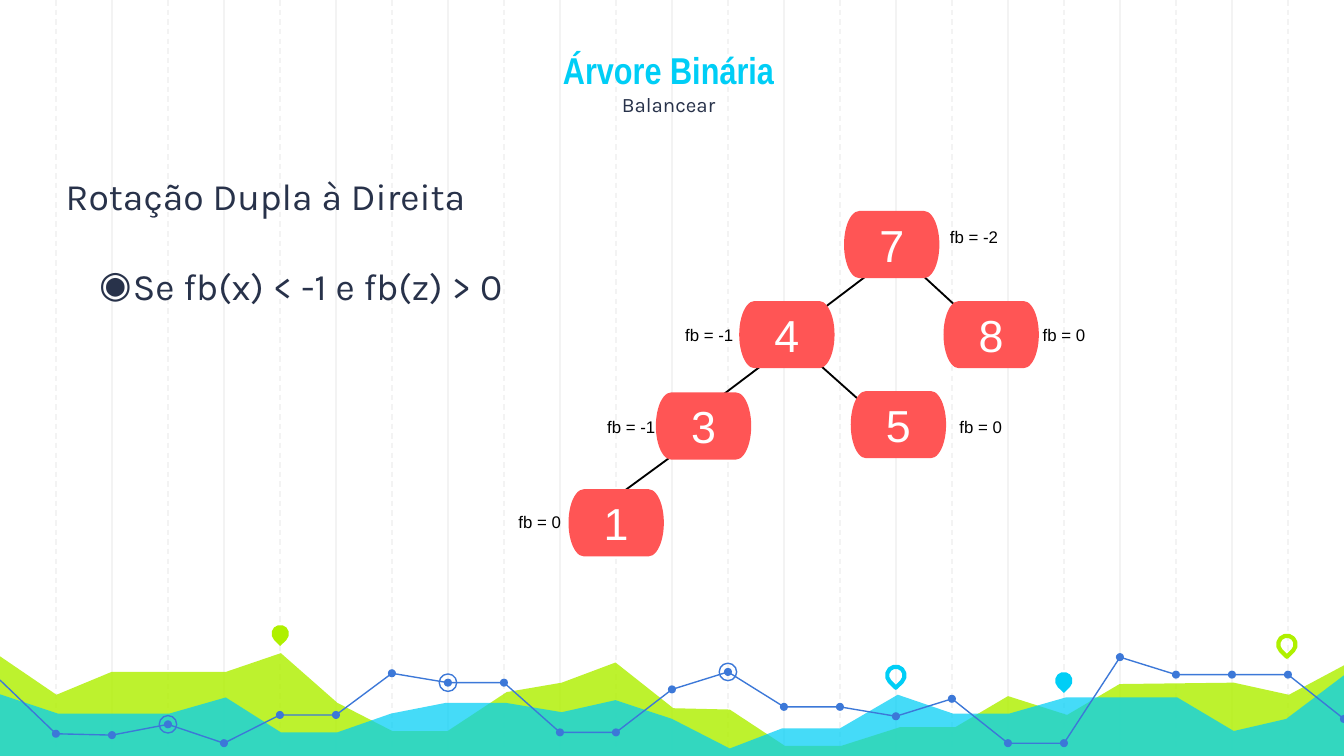
from lxml import etree
from pptx import Presentation
from pptx.dml.color import RGBColor
from pptx.enum import dml, shapes, text
from pptx.oxml import ns
from pptx.util import Inches, Pt

CYAN = RGBColor(0x00, 0xCE, 0xF6)
LIME = RGBColor(0xAF, 0xF0, 0x00)
BLUE = RGBColor(0x3C, 0x78, 0xD8)
CORAL = RGBColor(0xFF, 0x55, 0x55)
NAVY = RGBColor(0x28, 0x32, 0x4A)
GRID = RGBColor(0xF3, 0xF3, 0xF3)
BLACK = RGBColor(0, 0, 0)
WHITE = RGBColor(0xFF, 0xFF, 0xFF)

WIDTH = 10
HEIGHT = WIDTH * 9 / 16
STEP = WIDTH / 24
GRID_BOTTOM = 5.65
PIN, DOT, RING = 0.13, 0.06, 0.13
NODE_SIZE = (0.71, 0.5)
LABEL_SIZE = (0.63, 0.25)

TITLE = [("Árvore Binária", 20, "Arial Narrow", CYAN, True),
         ("Balancear", 11, "Karla", NAVY, False)]
HEADING = "Rotação Dupla à Direita"
RULE = "Se fb(x) < -1 e fb(z) > 0"

# key, node left and top, balance factor, label left and top
NODES = [
    ("7", 6.28, 1.57, "fb = -2", 6.97, 1.64),
    ("4", 5.5, 2.24, "fb = -1", 5, 2.37),
    ("8", 7.02, 2.24, "fb = 0", 7.66, 2.37),
    ("3", 4.88, 2.92, "fb = -1", 4.42, 3.05),
    ("5", 6.33, 2.91, "fb = 0", 7.04, 3.05),
    ("1", 4.23, 3.64, "fb = 0", 3.76, 3.76),
]
EDGES = [
    ((6.49, 2.02), (6.08, 2.33)),
    ((6.8, 1.99), (7.17, 2.33)),
    ((5.68, 2.71), (5.27, 3.02)),
    ((6.06, 2.68), (6.43, 3.01)),
    ((4.99, 3.4), (4.58, 3.7)),
]

# colour, opacity in percent, outline
AREAS = [
    (LIME, 82, [
        (-0.02, 4.87), (0.42, 5.17), (0.83, 5), (1.68, 5), (2.09, 4.86),
        (2.51, 5.23), (2.92, 5.44), (3.33, 5.44), (3.77, 5.15), (4.18, 5.08),
        (4.58, 4.93), (5.01, 5.27), (5.43, 5.28), (5.84, 5.55), (6.26, 5.55),
        (6.7, 5.41), (7.11, 5.41), (7.5, 5.18), (7.94, 5.32), (8.33, 5.09),
        (9.18, 5.08), (9.59, 5.17), (10.02, 4.94), (10.01, 5.64), (-0.03, 5.64)]),
    (CYAN, 73, [
        (-0.02, 5.16), (0.43, 5.31), (1.26, 5.31), (1.68, 5.19), (2.09, 5.45),
        (2.51, 5.45), (2.91, 5.31), (3.32, 5.23), (3.76, 5.23), (4.18, 5.3),
        (4.58, 5.21), (5, 5.35), (5.43, 5.57), (5.82, 5.42), (6.25, 5.42),
        (6.68, 5.17), (7.09, 5.31), (7.51, 5.31), (7.93, 5.19), (8.76, 5.19),
        (9.18, 5.44), (9.57, 5.35), (10.02, 5.01), (10.02, 5.65), (-0.03, 5.65)]),
]
# height of the trend line at each grid step
TREND = [5.06, 5.46, 5.47, 5.39, 5.53, 5.32, 5.32, 5.01, 5.08, 5.08, 5.45, 5.45, 5.13,
         5, 5.26, 5.26, 5.33, 5.2, 5.53, 5.53, 4.89, 5.02, 5.02, 5.02, 5.35]
SECTIONS = [(0, 11), (11, 20), (20, 24)]
RINGED = [3, 8, 13]
# left, top, colour, filled
PINS = [(2.02, 4.65, LIME, True), (6.6, 4.96, CYAN, False),
        (7.85, 5, CYAN, True), (9.51, 4.73, LIME, False)]


def paint(shape, fill=None, line=None, weight=0.75):
    """Set fill and outline, None meaning empty, and drop the shadow."""
    shape.shadow.inherit = False
    if fill is None:
        shape.fill.background()
    else:
        shape.fill.solid()
        shape.fill.fore_color.rgb = fill
    if line is None:
        shape.line.fill.background()
    else:
        shape.line.color.rgb = line
        shape.line.width = Pt(weight)


def add_line(page, start, end, color, weight):
    line = page.shapes.add_connector(
        shapes.MSO_CONNECTOR.STRAIGHT, *map(Inches, (*start, *end)))
    line.line.color.rgb = color
    line.line.width = Pt(weight)
    etree.SubElement(line.element.spPr, ns.qn("a:effectLst"))
    return line


def add_outline(page, points, close):
    emu = [(Inches(x), Inches(y)) for x, y in points]
    builder = page.shapes.build_freeform(*emu[0])
    builder.add_line_segments(emu[1:], close=close)
    return builder.convert_to_shape()


def add_preset(page, kind, left, top, width, height):
    return page.shapes.add_shape(kind, *map(Inches, (left, top, width, height)))


def add_circle(page, center, size, **colors):
    x, y = center
    circle = add_preset(page, shapes.MSO_SHAPE.OVAL,
                        x - size / 2, y - size / 2, size, size)
    paint(circle, **colors)


def add_text_box(page, left, top, width, height):
    box = page.shapes.add_textbox(*map(Inches, (left, top, width, height)))
    box.text_frame.word_wrap = True
    return box.text_frame


def style(font, size, name, color, bold=None):
    font.size, font.name, font.bold = Pt(size), name, bold
    font.color.rgb = color


def pad(frame):
    frame.margin_left = frame.margin_right = Inches(0.1)
    frame.margin_top = frame.margin_bottom = Inches(0.1)


def draw_background(page):
    for first in (2, 1):
        for i in range(first, 24, 2):
            line = add_line(page, (i * STEP, 0), (i * STEP, GRID_BOTTOM), GRID, 0.75)
            if first == 1:
                line.line.dash_style = dml.MSO_LINE.DASH
    for color, opacity, points in AREAS:
        area = add_outline(page, points, True)
        paint(area, color)
        tint = area.element.spPr.find(ns.qn("a:solidFill"))[0]
        etree.SubElement(tint, ns.qn("a:alpha"), val=str(opacity * 1000))
    for left, top, color, filled in PINS:
        pin = add_preset(page, shapes.MSO_SHAPE.TEAR, left, top, PIN, PIN)
        pin.rotation = 135
        paint(pin, color if filled else None, None if filled else color, 2.25)
    points = [(i * STEP, y) for i, y in enumerate(TREND)]
    for first, last in SECTIONS:
        paint(add_outline(page, points[first:last + 1], False), line=BLUE)
    for point in points[1:]:
        add_circle(page, point, DOT, fill=BLUE)
    for i in RINGED:
        add_circle(page, points[i], RING, line=BLUE)


def write_title(page):
    title = page.shapes.title
    title.element.getparent().append(title.element)  # in front of the grid
    title.left, title.top, title.width, title.height = map(
        Inches, (1.15, 0.19, 7.65, 0.78))
    frame = title.text_frame
    frame.auto_size = text.MSO_AUTO_SIZE.NONE
    frame.vertical_anchor = text.MSO_ANCHOR.BOTTOM
    pad(frame)
    para = frame.paragraphs[0]
    para.alignment = text.PP_ALIGN.CENTER
    for i, (words, *look) in enumerate(TITLE):
        if i:
            para.add_line_break()
        span = para.add_run()
        span.text = words
        style(span.font, *look)


def write_body(page):
    frame = add_text_box(page, 0.39, 1.19, 4.3, 3.38)
    pad(frame)
    heading, rule = frame.paragraphs[0], frame.add_paragraph()
    for para, words in ((heading, HEADING), (rule, RULE)):
        para.text = words
        para.alignment = text.PP_ALIGN.JUSTIFY
        style(para.font, 20, "Karla", NAVY)
    rule.space_before = Pt(24)
    props = rule._p.get_or_add_pPr()
    props.set("marL", str(Inches(0.5)))
    props.set("indent", str(Inches(-0.25)))
    font = props.find(ns.qn("a:defRPr"))
    font.addprevious(etree.Element(ns.qn("a:buFont"), typeface="Karla"))
    font.addprevious(etree.Element(ns.qn("a:buChar"), char="◉"))


def draw_tree(page):
    for start, end in EDGES:
        add_line(page, start, end, BLACK, 1)
    for key, left, top, factor, label_left, label_top in NODES:
        node = add_preset(page, shapes.MSO_SHAPE.FLOWCHART_TERMINATOR,
                          left, top, *NODE_SIZE)
        paint(node, CORAL)
        node.text_frame.vertical_anchor = text.MSO_ANCHOR.MIDDLE
        para = node.text_frame.paragraphs[0]
        para.text = key
        para.alignment = text.PP_ALIGN.CENTER
        style(para.font, 24, "Arial", WHITE)
        label = add_text_box(page, label_left, label_top, *LABEL_SIZE).paragraphs[0]
        label.text = factor
        style(label.font, 9, "Arial", BLACK)


deck = Presentation()
deck.slide_width, deck.slide_height = Inches(WIDTH), Inches(HEIGHT)
page = deck.slides.add_slide(deck.slide_layouts[5])
draw_background(page)
write_title(page)
write_body(page)
draw_tree(page)
deck.save("out.pptx")
